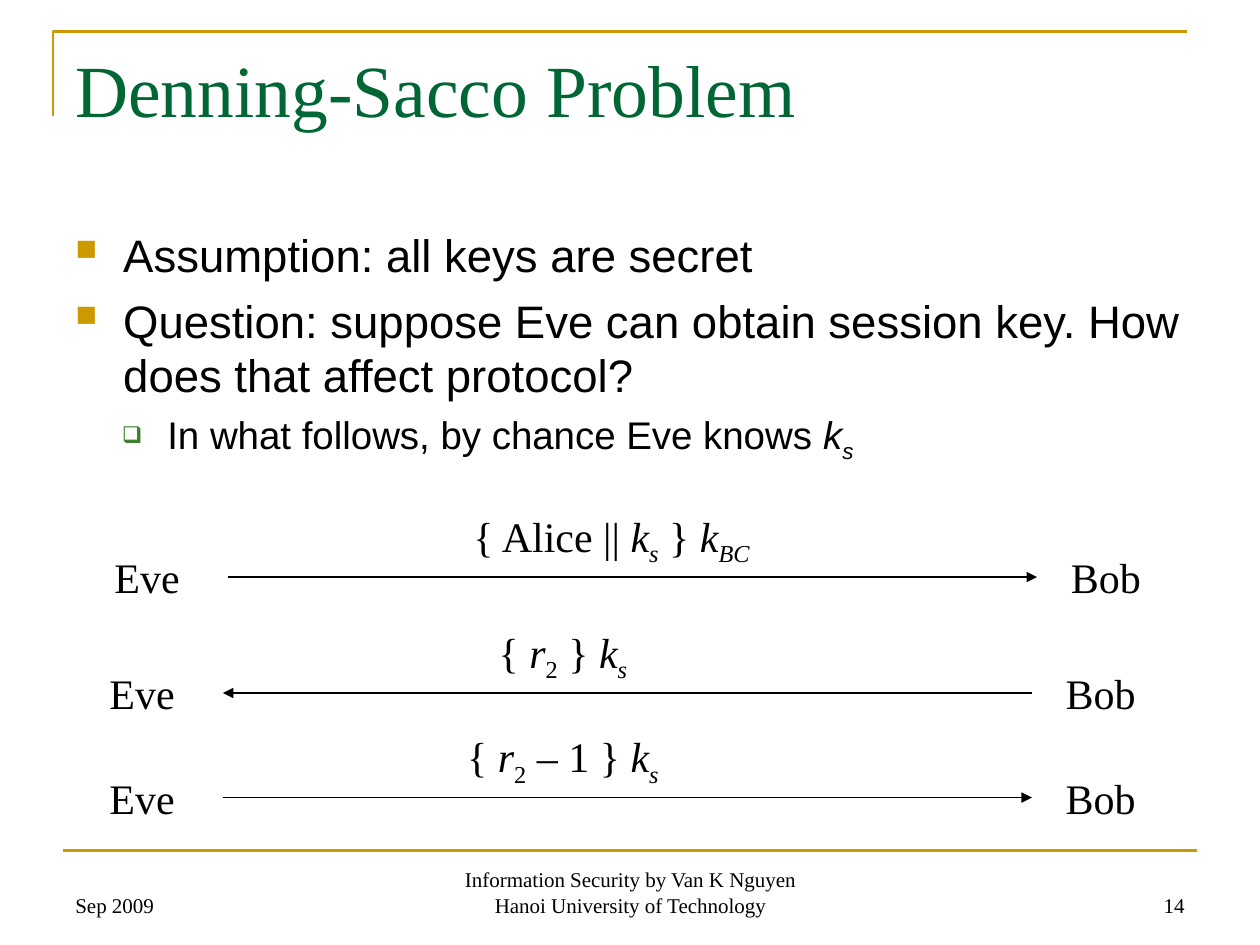
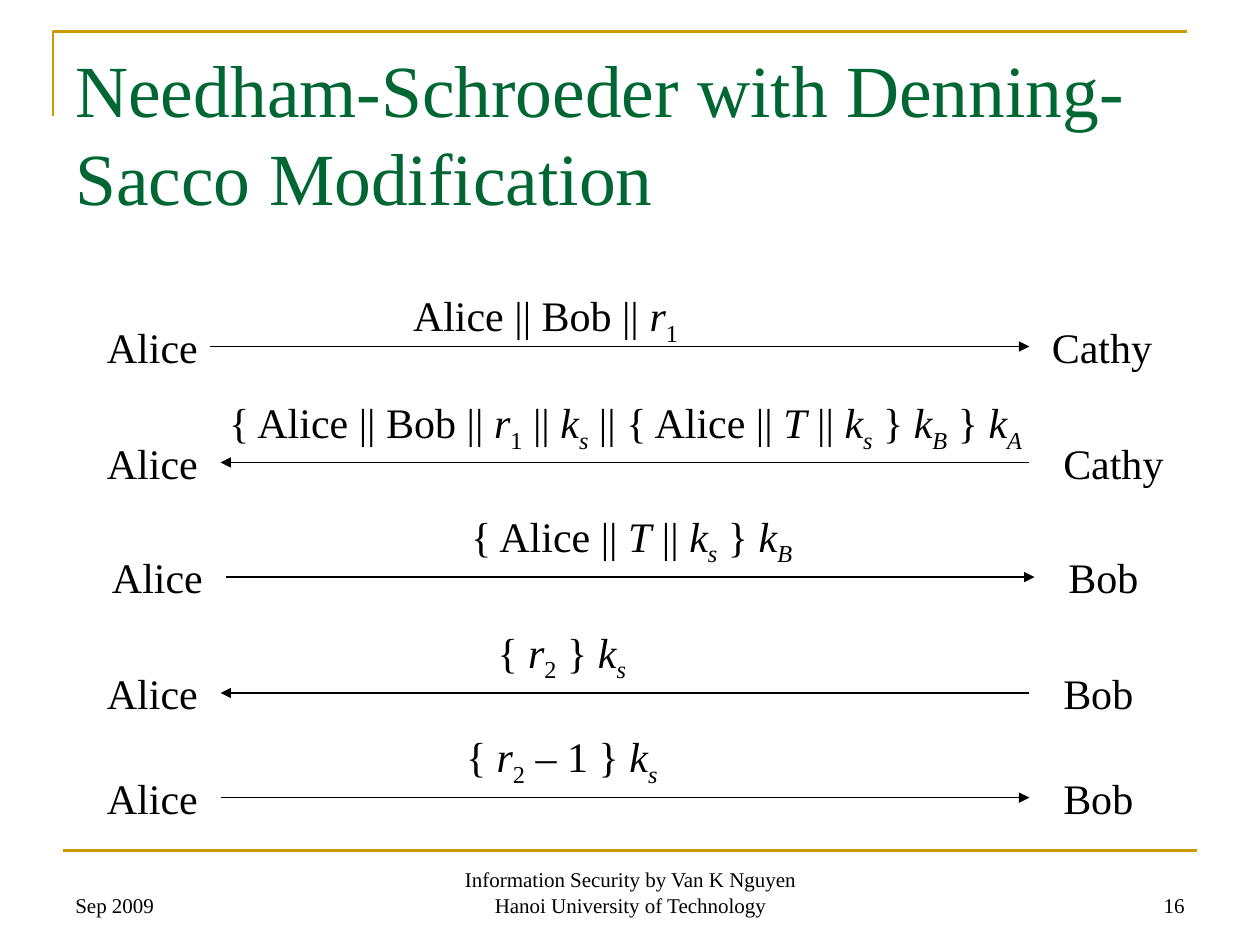
"""Build two slides on the Denning-Sacco problem and its protocol exchanges."""
from dataclasses import dataclass
from typing import Optional

import pptx
import pptx.dml.color
import pptx.enum.shapes
import pptx.enum.text
import pptx.oxml.ns
import pptx.util
from lxml import etree

Inches = pptx.util.Inches
Pt = pptx.util.Pt
ALIGN = pptx.enum.text.PP_ALIGN
ANCHOR = pptx.enum.text.MSO_ANCHOR
qn = pptx.oxml.ns.qn

COLORS = {"gold": "CC9900", "title": "006633", "ink": "000000", "leaf": "3B812F"}
SERIF, SANS = "Times New Roman", "Arial"
NAME_WIDTHS = {"Eve": 0.72, "Bob": 0.78, "Alice": 0.92, "Cathy": 1.02}


@dataclass
class Bullet:
    """Format of one outline level."""
    mark: str
    color: str
    percent: int
    left: float
    hanging: float
    size: float
    before: float


@dataclass
class Exchange:
    """One message sent between two parties; top is that of the names."""
    sender: str
    receiver: str
    message: str
    left: float
    top: float
    message_left: float
    message_width: float
    reply: bool = False
    rise: float = 0.33
    arrow_offset: float = 1.0
    arrow_end: float = 7.42
    receiver_offset: float = 7.59
    joined: bool = False


MAIN = Bullet("■", "gold", 65, 0.38, 0.38, 26, 6.5)
DETAIL = Bullet("❑", "leaf", 60, 0.73, 0.36, 22, 5.5)

POINTS = [
    (MAIN, "Assumption: all keys are secret"),
    (MAIN, "Question: suppose Eve can obtain session key. How does that affect protocol?"),
    (DETAIL, "In what follows, by chance Eve knows *k~s~*"),
]

REPLAY = [
    Exchange("Eve", "Bob", "{ Alice || *k~s~* } *k~BC~*", 0.81, 4.33, 3.66, 2.44),
    Exchange("Eve", "Bob", "{ *r*~2~ } *k~s~*", 0.77, 5.25, 3.86, 1.25, reply=True),
    Exchange("Eve", "Bob", "{ *r*~2~ – 1 } *k~s~*", 0.77, 6.08, 3.61, 1.75),
]

MODIFIED = [
    Exchange("Alice", "Cathy", "Alice || Bob || *r*~1~", 0.75, 2.5, 3.18, 2.34,
             rise=0.25, arrow_offset=0.92, receiver_offset=7.5, joined=True),
    Exchange("Alice", "Cathy",
             "{ Alice || Bob || *r*~1~ || *k~s~* || { Alice || *T* || *k~s~* } *k~B~* } *k~A~*",
             0.75, 3.42, 1.72, 6.56, reply=True, rise=0.32),
    Exchange("Alice", "Bob", "{ Alice || *T* || *k~s~* } *k~B~*", 0.79, 4.33, 3.64, 2.79),
    Exchange("Alice", "Bob", "{ *r*~2~ } *k~s~*", 0.75, 5.25, 3.85, 1.25, reply=True),
    Exchange("Alice", "Bob", "{ *r*~2~ – 1 } *k~s~*", 0.75, 6.08, 3.6, 1.75),
]


def rgb(color: str) -> pptx.dml.color.RGBColor:
    """Return a named colour."""
    return pptx.dml.color.RGBColor.from_string(COLORS[color])


def write(paragraph, text: str, *, size: float, font: str = SERIF,
          color: str = "ink", align=ALIGN.LEFT) -> None:
    """Fill a paragraph; *...* marks italics and ~...~ marks subscripts."""
    paragraph.alignment = align
    for i, part in enumerate(text.split("*")):
        for j, piece in enumerate(part.split("~")):
            if not piece:
                continue
            run = paragraph.add_run()
            run.text = piece
            run.font.size = Pt(size)
            run.font.name = font
            run.font.color.rgb = rgb(color)
            if i % 2:
                run.font.italic = True
            if j % 2:
                run.font._element.set("baseline", "-25000")


def add_frame(slide, left: float, top: float, width: float, height: float,
              anchor=ANCHOR.TOP, wrap: bool = True):
    """Add an empty text box."""
    box = slide.shapes.add_textbox(Inches(left), Inches(top), Inches(width), Inches(height))
    box.text_frame.word_wrap = wrap
    box.text_frame.vertical_anchor = anchor
    if not wrap:
        box.text_frame.auto_size = pptx.enum.text.MSO_AUTO_SIZE.SHAPE_TO_FIT_TEXT
    return box


def add_label(slide, text: str, left: float, top: float, width: float, height: float,
              *, anchor=ANCHOR.TOP, wrap: bool = True, **style):
    """Add a text box of one paragraph."""
    box = add_frame(slide, left, top, width, height, anchor, wrap)
    write(box.text_frame.paragraphs[0], text, **style)
    return box


def add_line(slide, start: tuple[float, float], end: tuple[float, float],
             color: str, width: float, arrow: Optional[str] = None):
    """Add a straight line, with an arrowhead at headEnd or tailEnd if named."""
    line = slide.shapes.add_connector(
        pptx.enum.shapes.MSO_CONNECTOR.STRAIGHT,
        Inches(start[0]), Inches(start[1]), Inches(end[0]), Inches(end[1]))
    line.line.color.rgb = rgb(color)
    line.line.width = Pt(width)
    if arrow:
        etree.SubElement(line.line._get_or_add_ln(), qn(f"a:{arrow}"), type="triangle")
    etree.SubElement(line._element.spPr, qn("a:effectLst"))
    return line


def add_base(deck, title: str, number: int):
    """Add a slide with its corner rule, footer and title."""
    slide = deck.slides.add_slide(deck.slide_layouts[6])
    outline = slide.shapes.build_freeform(Inches(0.42), Inches(0.92))
    outline.add_line_segments(
        [(Inches(0.42), Inches(0.25)), (Inches(9.42), Inches(0.25))], close=False)
    corner = outline.convert_to_shape()
    corner.shadow.inherit = False
    corner.fill.background()
    corner.line.color.rgb = rgb("gold")
    corner.line.width = Pt(1.5)
    add_line(slide, (0.5, 6.75), (9.5, 6.75), "gold", 1.5)
    for text, left, width, align in (
            ("Sep 2009", 0.5, 2.33, ALIGN.LEFT),
            ("Information Security by Van K Nguyen Hanoi University of Technology",
             3.42, 3.17, ALIGN.CENTER),
            (str(number), 7.17, 2.33, ALIGN.RIGHT)):
        add_label(slide, text, left, 6.83, width, 0.5,
                  anchor=ANCHOR.BOTTOM, size=12, align=align)
    add_label(slide, title, 0.5, 0.3, 9, 1.25, size=42, color="title")
    return slide


def add_points(slide, points: list[tuple[Bullet, str]]) -> None:
    """Add the bulleted body text."""
    frame = add_frame(slide, 0.5, 1.75, 9, 2.39).text_frame
    for i, (bullet, text) in enumerate(points):
        paragraph = frame.add_paragraph() if i else frame.paragraphs[0]
        if i:
            paragraph.space_before = Pt(bullet.before)
        props = paragraph._p.get_or_add_pPr()
        props.set("marL", str(Inches(bullet.left)))
        props.set("indent", str(-Inches(bullet.hanging)))
        tint = etree.SubElement(props, qn("a:buClr"))
        etree.SubElement(tint, qn("a:srgbClr"), val=COLORS[bullet.color])
        etree.SubElement(props, qn("a:buSzPct"), val=str(bullet.percent * 1000))
        etree.SubElement(props, qn("a:buChar"), char=bullet.mark)
        write(paragraph, text, size=bullet.size, font=SANS)


def add_exchange(slide, step: Exchange) -> None:
    """Draw two parties, the arrow between them and its message."""
    middle = step.top + 0.25
    sender = add_label(slide, step.sender, step.left, step.top,
                       NAME_WIDTHS[step.sender], 0.5, wrap=False, size=24)
    arrow = add_line(slide, (step.left + step.arrow_offset, middle),
                     (step.left + step.arrow_end, middle), "ink", 0.75,
                     "headEnd" if step.reply else "tailEnd")
    if step.joined:
        arrow.begin_connect(sender, 3)
    add_label(slide, step.receiver, step.left + step.receiver_offset, step.top,
              NAME_WIDTHS[step.receiver], 0.5, wrap=False, size=24)
    add_label(slide, step.message, step.message_left, step.top - step.rise,
              step.message_width, 0.56, wrap=False, size=24)


def main() -> None:
    """Build and save the deck."""
    deck = pptx.Presentation()
    deck.slide_width, deck.slide_height = Inches(10), Inches(7.5)

    problem = add_base(deck, "Denning-Sacco Problem", 14)
    add_points(problem, POINTS)
    for step in REPLAY:
        add_exchange(problem, step)

    modification = add_base(deck, "Needham-Schroeder with Denning-Sacco Modification", 16)
    for step in MODIFIED:
        add_exchange(modification, step)

    deck.save("out.pptx")


if __name__ == "__main__":
    main()
